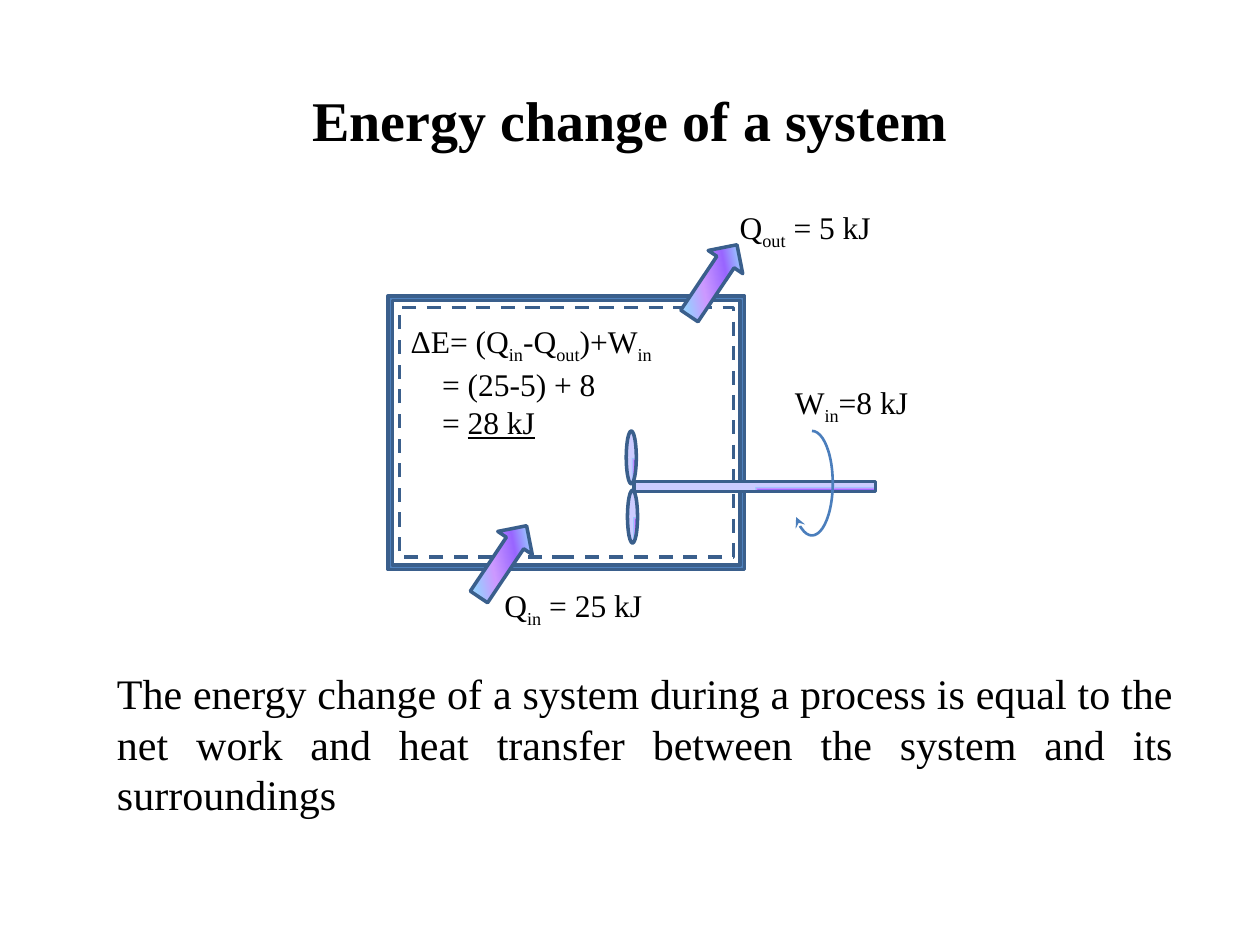
from lxml import etree
from pptx import Presentation
from pptx.dml.color import RGBColor
from pptx.enum.dml import MSO_LINE
from pptx.enum.shapes import MSO_SHAPE
from pptx.enum.text import MSO_ANCHOR, PP_ALIGN
from pptx.oxml import parse_xml
from pptx.oxml.ns import nsdecls, qn
from pptx.util import Inches, Pt

FONT = "Times New Roman"
BLACK = RGBColor(0x00, 0x00, 0x00)
WALL_BLUE = RGBColor(0x4F, 0x81, 0xBD)
OUTLINE_BLUE = RGBColor(0x3A, 0x5F, 0x8C)
ROTATION_BLUE = RGBColor(0x4B, 0x7E, 0xBC)
SHEEN = [
    (0, RGBColor(0xCC, 0xCC, 0xFF)),
    (18, RGBColor(0x99, 0xCC, 0xFF)),
    (36, RGBColor(0x99, 0x66, 0xFF)),
    (61, RGBColor(0xCC, 0x99, 0xFF)),
    (82, RGBColor(0x99, 0xCC, 0xFF)),
    (100, RGBColor(0xCC, 0xCC, 0xFF)),
]
LINEAR = '<a:lin ang="2700000" scaled="0"/>'
FROM_CORNER = '<a:path path="rect"><a:fillToRect l="100000" t="100000"/></a:path>'


def add_outlined(slide, preset, box, rotation=0, color=OUTLINE_BLUE, width=2):
    """Add an unfilled preset shape with a plain outline."""
    shape = slide.shapes.add_shape(preset, *map(Inches, box))
    shape.shadow.inherit = False
    shape.rotation = rotation
    shape.fill.background()
    shape.line.color.rgb = color
    shape.line.width = Pt(width)
    return shape


def add_sheen(shape, direction):
    """Replace the empty fill by the violet gradient."""
    stops = "".join(
        f'<a:gs pos="{pos * 1000}"><a:srgbClr val="{color}"/></a:gs>'
        for pos, color in SHEEN
    )
    gradient = parse_xml(
        f'<a:gradFill {nsdecls("a")} rotWithShape="1">'
        f"<a:gsLst>{stops}</a:gsLst>{direction}</a:gradFill>"
    )
    properties = shape.element.spPr
    properties.replace(properties.find(qn("a:noFill")), gradient)


def add_text(slide, box, lines, size=18, align=PP_ALIGN.LEFT, wrap=False):
    """Add lines of (text, style) runs; style is sub, bold, underline or None."""
    frame = slide.shapes.add_textbox(*map(Inches, box)).text_frame
    frame.word_wrap = wrap
    frame.vertical_anchor = MSO_ANCHOR.TOP
    for index, runs in enumerate(lines):
        paragraph = frame.paragraphs[0] if index == 0 else frame.add_paragraph()
        paragraph.alignment = align
        for text, style in runs:
            run = paragraph.add_run()
            run.text = text
            font = run.font
            font.name, font.size, font.color.rgb = FONT, Pt(size), BLACK
            if style == "sub":
                font._element.set("baseline", "-25000")
            elif style == "bold":
                font.bold = True
            elif style == "underline":
                font.underline = True
    return frame


def add_quantity(slide, box, symbol, subscript, value, align=PP_ALIGN.CENTER):
    runs = [(symbol, None), (subscript, "sub"), (value, None)]
    add_text(slide, box, [runs], align=align)


def add_energy_balance(slide):
    balance = add_text(slide, (3.16, 2.51, 2.19, 1.01), [
        [("ΔE= (Q", None), ("in", "sub"), ("-Q", None), ("out", "sub"),
         (")+W", None), ("in", "sub")],
        [("= (25-5) + 8", None)],
        [("= ", None), ("28 kJ", "underline")],
    ])
    for step in balance.paragraphs[1:]:
        step._p.get_or_add_pPr().set("marL", str(Inches(0.25)))


def add_rotation_arrow(slide):
    rotation = add_outlined(slide, MSO_SHAPE.ARC, (6.28, 3.42, 0.33, 0.83),
                            color=ROTATION_BLUE, width=1.5)
    rotation.adjustments[0] = 162
    rotation.adjustments[1] = 69.01
    line = rotation.element.spPr.find(qn("a:ln"))
    etree.SubElement(line, qn("a:tailEnd"), type="stealth")


def main():
    deck = Presentation()
    deck.slide_width, deck.slide_height = Inches(10), Inches(7.5)
    slide = deck.slides.add_slide(deck.slide_layouts[6])

    title = add_text(slide, (0.5, 0.58, 9, 0.97),
                     [[("Energy change of a system", "bold")]],
                     size=32, align=PP_ALIGN.CENTER, wrap=True)
    title.margin_top = Inches(0.1)

    wall = add_outlined(slide, MSO_SHAPE.FRAME, (3.08, 2.35, 2.83, 2.17))
    wall.adjustments[0] = 0.016
    wall.fill.solid()
    wall.fill.fore_color.rgb = WALL_BLUE

    for left, top in ((4.97, 3.42), (4.98, 3.89)):
        blade = add_outlined(slide, MSO_SHAPE.OVAL, (left, top, 0.08, 0.42))
        add_sheen(blade, FROM_CORNER)

    add_quantity(slide, (6.21, 2.99, 1.12, 0.4), "W", "in", "=8 kJ", PP_ALIGN.LEFT)
    add_energy_balance(slide)

    boundary = add_outlined(slide, MSO_SHAPE.RECTANGLE, (3.17, 2.44, 2.65, 1.98))
    boundary.line.dash_style = MSO_LINE.DASH

    add_quantity(slide, (3.89, 4.6, 1.32, 0.4), "Q", "in", " = 25 kJ")
    add_quantity(slide, (5.75, 1.6, 1.28, 0.4), "Q", "out", " = 5 kJ")
    for left, top in ((3.65, 4.29), (5.32, 2.06)):
        heat_arrow = add_outlined(slide, MSO_SHAPE.LEFT_ARROW,
                                  (left, top, 0.68, 0.33), rotation=123.8)
        add_sheen(heat_arrow, LINEAR)

    shaft = add_outlined(slide, MSO_SHAPE.RECTANGLE, (5.03, 3.82, 1.92, 0.08),
                         rotation=180)
    add_sheen(shaft, FROM_CORNER)
    add_rotation_arrow(slide)

    add_text(slide, (0.83, 5.25, 8.58, 1.31), [[(
        "The energy change of a system during a process is equal to the net work "
        "and heat transfer between the system and its surroundings", None)]],
        size=24, align=PP_ALIGN.JUSTIFY, wrap=True)

    deck.save("out.pptx")


if __name__ == "__main__":
    main()
